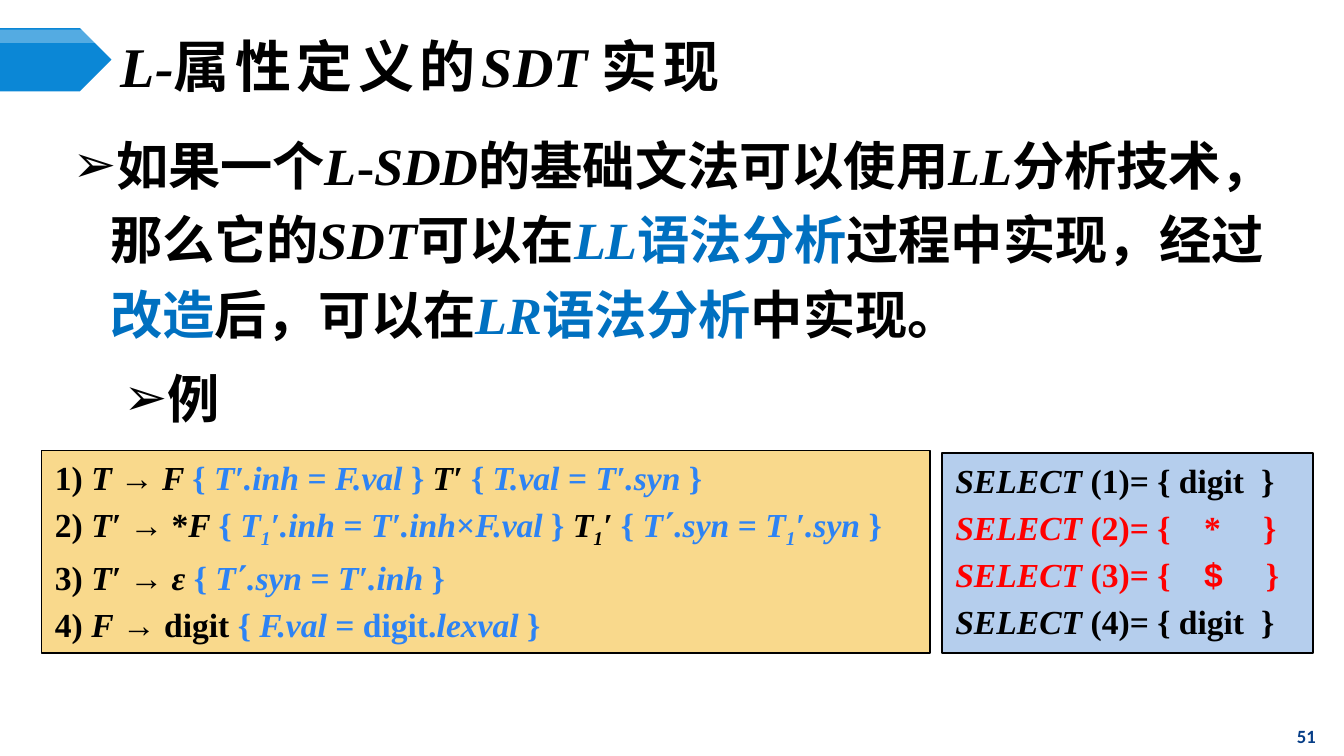
from lxml.etree import SubElement
from pptx import Presentation
from pptx.dml.color import RGBColor
from pptx.enum.shapes import MSO_SHAPE as Shape
from pptx.enum.text import MSO_ANCHOR as Anchor, PP_ALIGN as Align
from pptx.oxml.ns import qn
from pptx.util import Inches, Pt

BLACK = RGBColor(0, 0, 0)
WHITE = RGBColor(255, 255, 255)
RED = RGBColor(255, 0, 0)
BANNER_BLUE = RGBColor(0x0B, 0x87, 0xD6)
KEYWORD_BLUE = RGBColor(0, 0x70, 0xC0)
ACTION_BLUE = RGBColor(0x2D, 0x83, 0xF4)
NUMBER_BLUE = RGBColor(0x07, 0x3E, 0x87)
SAND = RGBColor(0xF9, 0xD9, 0x8C)
PALE_BLUE = RGBColor(0xB5, 0xCE, 0xED)
SERIF = "Times New Roman"

# Marks in the text: |italic|, <accent colour>, ~subscript~, ^Arial^,
# and four kinds of widened letter spacing
MARKS = {"|": "italic", "<": "accent", ">": "accent", "~": "subscript", "^": "arial",
         "`": "wide", "_": "narrow gap", "[": "gap", "]": "gap", "@": "broad gap"}
LETTER_SPACING = {"wide": 3, "narrow gap": 4.5, "gap": 13.5, "broad gap": 18}

TITLE = "|L-|`属性定义的`|SDT| `实现`"
STATEMENT = (
    "如果一个|L|-|SDD|的基础文法可以使用|LL|分析技术，那么它的|SDT|可以在<|LL|语法分析>"
    "过程中实现，经过<改造>后，可以在<|LR|语法分析>中实现。"
)
RULES = [
    "1) |T |→ |F |<{ |T′.inh |= |F.val| } >|T′ |<{ |T.val |= |T′.syn| }>",
    "2) |T′ |→ *|F |<{ |T~1~′.inh |= |T′.inh|×|F.val| } >|T~1~′ |<{ |T΄.syn |= |T~1~′.syn| }>",
    "3) |T′ |→ |ε |<{ |T΄.syn |= |T′.inh| }>",
    "4) |F| → digit <{ |F.val| = digit.|lexval| }>",
]
SELECT_SETS = [
    ("|SELECT |(1)= { digit_ _}", BLACK),
    ("|SELECT |(2)= {[ ]*@ @}", RED),
    ("|SELECT |(3)= {[ ]^$@ @^}", RED),
    ("|SELECT |(4)= { digit_ _}", BLACK),
]


def split_marks(markup):
    """Yield each piece of text with the set of marks in force."""
    active, piece = set(), ""
    for character in markup:
        if character in MARKS:
            if piece:
                yield piece, set(active)
            active ^= {MARKS[character]}
            piece = ""
        else:
            piece += character
    if piece:
        yield piece, active


def write(paragraph, markup, size=18, font=SERIF, color=BLACK, accent=KEYWORD_BLUE,
          align=Align.LEFT, level=0, margin=0, hanging=0, bullet=None,
          line_spacing=None, space_before=0):
    properties = paragraph._p.get_or_add_pPr()
    properties.set("marL", str(Inches(margin)))
    properties.set("indent", str(-Inches(hanging)))
    if bullet:
        SubElement(properties, qn("a:buFont")).set("typeface", "Arial")
        SubElement(properties, qn("a:buChar")).set("char", bullet)
    paragraph.alignment = align
    paragraph.level = level
    paragraph.space_before = Pt(space_before)
    if line_spacing:
        paragraph.line_spacing = Pt(line_spacing)
    for text, marks in split_marks(markup):
        run = paragraph.add_run()
        run.text = text
        run.font.name = "Arial" if "arial" in marks else font
        run.font.size = Pt(size)
        run.font.bold = True
        run.font.italic = "italic" in marks
        run.font.color.rgb = accent if "accent" in marks else color
        run_properties = run._r.get_or_add_rPr()
        if "subscript" in marks:
            run_properties.set("baseline", "-25000")
        for mark in marks & set(LETTER_SPACING):
            run_properties.set("spc", str(int(LETTER_SPACING[mark] * 100)))


def prepare_frame(frame, anchor=Anchor.TOP, side=0.07, edge=0.04):
    frame.word_wrap = True
    frame.vertical_anchor = anchor
    frame.margin_left = frame.margin_right = Inches(side)
    frame.margin_top = frame.margin_bottom = Inches(edge)
    return frame


def next_paragraph(frame, index):
    return frame.add_paragraph() if index else frame.paragraphs[0]


def add_filled(slide, kind, box, fill, line=None):
    shape = slide.shapes.add_shape(kind, *map(Inches, box))
    shape.shadow.inherit = False
    shape.fill.solid()
    shape.fill.fore_color.rgb = fill
    if line is None:
        shape.line.fill.background()
    else:
        shape.line.color.rgb = line
        shape.line.width = Pt(0.75)
    return shape


def add_banner(slide, left, top, width, height):
    add_filled(slide, Shape.PENTAGON, (left, top, width, height), BANNER_BLUE)
    gloss = add_filled(slide, Shape.PENTAGON, (left, top + 0.01, width, 0.1), WHITE)
    color = gloss.fill._xPr.find(qn("a:solidFill"))[0]
    SubElement(color, qn("a:alpha")).set("val", "30000")


def add_title(slide, left, top, width, height):
    title = slide.shapes.title
    title.left, title.top, title.width, title.height = map(Inches, (left, top, width, height))
    frame = prepare_frame(title.text_frame, Anchor.MIDDLE)
    write(frame.paragraphs[0], TITLE, size=30)


def add_statement(slide, *box):
    frame = prepare_frame(slide.shapes.add_textbox(*map(Inches, box)).text_frame)
    for level, (text, margin) in enumerate([(STATEMENT, 0.28), ("例", 0.66)]):
        write(next_paragraph(frame, level), text, size=28, level=level, margin=margin,
              hanging=0.28, bullet="➢", line_spacing=40, space_before=5 * level)


def add_panel(slide, box, fill, lines, **text_format):
    """Add an outlined box holding one paragraph for each (text, colour) pair."""
    panel = add_filled(slide, Shape.RECTANGLE, box, fill, BLACK)
    frame = prepare_frame(panel.text_frame, side=0.1, edge=0.05)
    for index, (text, color) in enumerate(lines):
        write(next_paragraph(frame, index), text, color=color,
              space_before=3.6 if index else 0, **text_format)


def add_page_number(slide, *box):
    text_box = slide.shapes.add_textbox(*map(Inches, box))
    frame = prepare_frame(text_box.text_frame, Anchor.MIDDLE)
    write(frame.paragraphs[0], "51", size=10, font="Calibri", color=NUMBER_BLUE,
          align=Align.CENTER)


def main():
    presentation = Presentation()
    presentation.slide_width = Inches(10)
    presentation.slide_height = presentation.slide_width * 9 // 16
    slide = presentation.slides.add_slide(presentation.slide_layouts[5])
    add_banner(slide, 0, 0.21, 0.83, 0.47)
    add_statement(slide, 0.47, 0.86, 9.14, 2.35)
    add_title(slide, 0.83, 0.29, 8.67, 0.39)
    add_panel(slide, (0.31, 3.35, 6.61, 1.51), SAND, [(rule, BLACK) for rule in RULES],
              accent=ACTION_BLUE, margin=0.38, hanging=0.38)
    add_panel(slide, (7.01, 3.37, 2.76, 1.49), PALE_BLUE, SELECT_SETS)
    add_page_number(slide, 9.44, 5.33, 0.56, 0.3)
    presentation.save("out.pptx")


if __name__ == "__main__":
    main()
